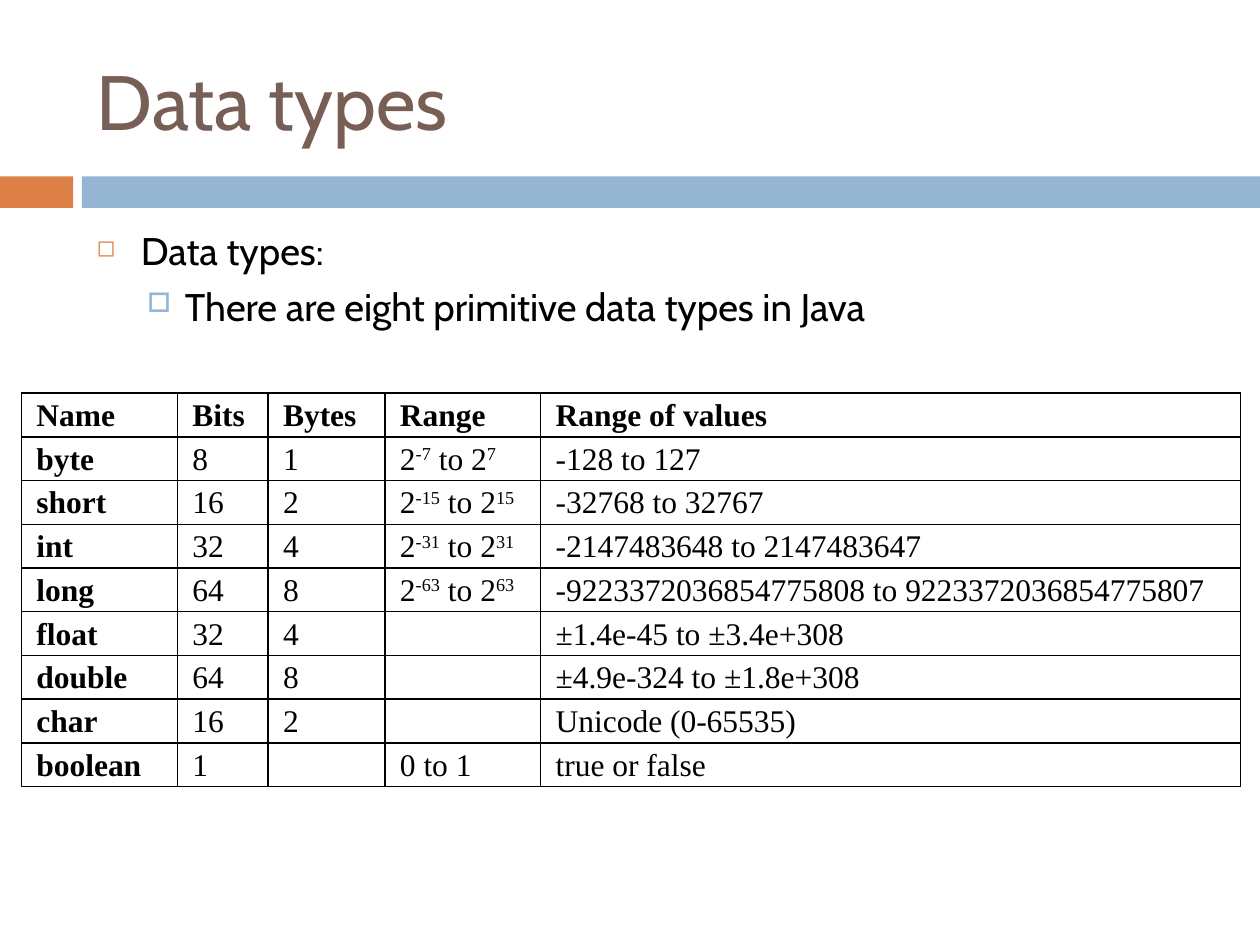
"""Build a slide on the primitive data types of Java."""
from lxml.etree import SubElement
from pptx import Presentation
from pptx.dml.color import RGBColor
from pptx.enum.shapes import MSO_SHAPE as Shape
from pptx.enum.text import MSO_ANCHOR as Anchor, MSO_AUTO_SIZE as AutoSize, PP_ALIGN as Align
from pptx.oxml.ns import qn
from pptx.util import Pt

COLORS = {"title": "775F55", "orange": "DD8047", "blue": "94B6D2", "text": "000000"}
HEADING_FONT, TABLE_FONT = "Cabin", "Times New Roman"

TITLE = "Data types"
BARS = [(0, 41.8, "orange"), (46.8, 673.2, "blue")]
BULLETS = [
    {"text": "Data types:", "level": 0, "margin": 25.2, "hanging": 25.2,
     "before": 0, "symbol": "◻", "color": "orange", "percent": 60},
    {"text": "There are eight primitive data types in Java", "level": 1, "margin": 50.4,
     "hanging": 21.6, "before": 5.5, "symbol": "□", "color": "blue", "percent": 70},
]
COLUMN_WIDTHS = [89.2, 51.8, 66.8, 89, 400]
ROW_HEIGHT = 25
ROWS = [
    ("Name", "Bits", "Bytes", "Range", "Range of values"),
    ("byte", "8", "1", "2^-7^ to 2^7", "-128 to 127"),
    ("short", "16", "2", "2^-15^ to 2^15", "-32768 to 32767"),
    ("int", "32", "4", "2^-31^ to 2^31", "-2147483648 to 2147483647"),
    ("long", "64", "8", "2^-63^ to 2^63", "-9223372036854775808 to 9223372036854775807"),
    ("float", "32", "4", "", "±1.4e-45 to ±3.4e+308"),
    ("double", "64", "8", "", "±4.9e-324 to ±1.8e+308"),
    ("char", "16", "2", "", "Unicode (0-65535)"),
    ("boolean", "1", "", "0 to 1", "true or false"),
]


def rgb(name):
    """Return the named colour."""
    return RGBColor.from_string(COLORS[name])


def write(paragraph, text, *, size, font, color="text", bold=False, align=Align.LEFT,
          before=0, spacing=1.0):
    """Write text in which each second part between carets is superscript."""
    paragraph.alignment = align
    paragraph.space_before = Pt(before)
    paragraph.line_spacing = spacing
    paragraph.font.size = Pt(size)
    for index, part in enumerate(text.split("^") if text else []):
        run = paragraph.add_run()
        run.text = part
        run.font.size = Pt(size)
        run.font.name = font
        run.font.bold = bold
        run.font.color.rgb = rgb(color)
        if index % 2:
            run.font._element.set("baseline", "30000")


def add_bullet(paragraph, bullet):
    """Give a paragraph its hanging indent and coloured bullet."""
    paragraph.level = bullet["level"]
    properties = paragraph._p.get_or_add_pPr()
    properties.set("marL", str(Pt(bullet["margin"])))
    properties.set("indent", str(-Pt(bullet["hanging"])))
    color = SubElement(properties, qn("a:buClr"))
    SubElement(color, qn("a:srgbClr"), val=COLORS[bullet["color"]])
    SubElement(properties, qn("a:buSzPct"), val=str(bullet["percent"] * 1000))
    SubElement(properties, qn("a:buChar"), char=bullet["symbol"])


def add_borders(cell):
    """Draw a one-point line on each side of a cell."""
    properties = cell._tc.get_or_add_tcPr()
    for side in ("lnL", "lnR", "lnT", "lnB"):
        line = SubElement(properties, qn(f"a:{side}"), w=str(Pt(1)))
        fill = SubElement(line, qn("a:solidFill"))
        SubElement(fill, qn("a:srgbClr"), val=COLORS["text"])


def add_title(slide):
    """Place and format the title."""
    title = slide.shapes.title
    title.left, title.top, title.width, title.height = Pt(48.2), Pt(18), Pt(642.2), Pt(77.8)
    frame = title.text_frame
    frame.auto_size = AutoSize.NONE
    frame.vertical_anchor = Anchor.MIDDLE
    write(frame.paragraphs[0], TITLE, size=44, font=HEADING_FONT, color="title")


def add_bars(slide):
    """Draw the two bars below the title."""
    for left, width, color in BARS:
        bar = slide.shapes.add_shape(Shape.RECTANGLE, Pt(left), Pt(100.8), Pt(width), Pt(18))
        bar.shadow.inherit = False
        bar.fill.solid()
        bar.fill.fore_color.rgb = rgb(color)
        bar.line.fill.background()


def add_body(slide):
    """Add the bulleted text."""
    frame = slide.shapes.add_textbox(Pt(48.2), Pt(126), Pt(642.2), Pt(354.2)).text_frame
    frame.word_wrap = True
    for index, bullet in enumerate(BULLETS):
        paragraph = frame.add_paragraph() if index else frame.paragraphs[0]
        add_bullet(paragraph, bullet)
        write(paragraph, bullet["text"], size=22, font=HEADING_FONT, before=bullet["before"])


def add_type_table(slide):
    """Add the table of primitive types."""
    table = slide.shapes.add_table(
        len(ROWS), len(COLUMN_WIDTHS), Pt(12.2), Pt(224.7),
        Pt(sum(COLUMN_WIDTHS)), Pt(ROW_HEIGHT * len(ROWS))).table
    table.first_row = table.horz_banding = False
    for column, width in zip(table.columns, COLUMN_WIDTHS):
        column.width = Pt(width)
    for row_index, values in enumerate(ROWS):
        table.rows[row_index].height = Pt(ROW_HEIGHT)
        for column_index, text in enumerate(values):
            cell = table.cell(row_index, column_index)
            cell.margin_left = cell.margin_right = Pt(8.6)
            cell.margin_top = cell.margin_bottom = 0
            add_borders(cell)
            cell.fill.background()
            write(cell.text_frame.paragraphs[0], text, size=18, font=TABLE_FONT,
                  bold=row_index == 0 or column_index == 0, spacing=1.15,
                  align=Align.JUSTIFY if row_index else Align.LEFT)


def main():
    """Build and save the presentation."""
    presentation = Presentation()
    presentation.slide_width, presentation.slide_height = Pt(720), Pt(540)
    slide = presentation.slides.add_slide(presentation.slide_layouts[5])
    add_bars(slide)
    add_title(slide)
    add_body(slide)
    add_type_table(slide)
    presentation.save("out.pptx")


if __name__ == "__main__":
    main()
